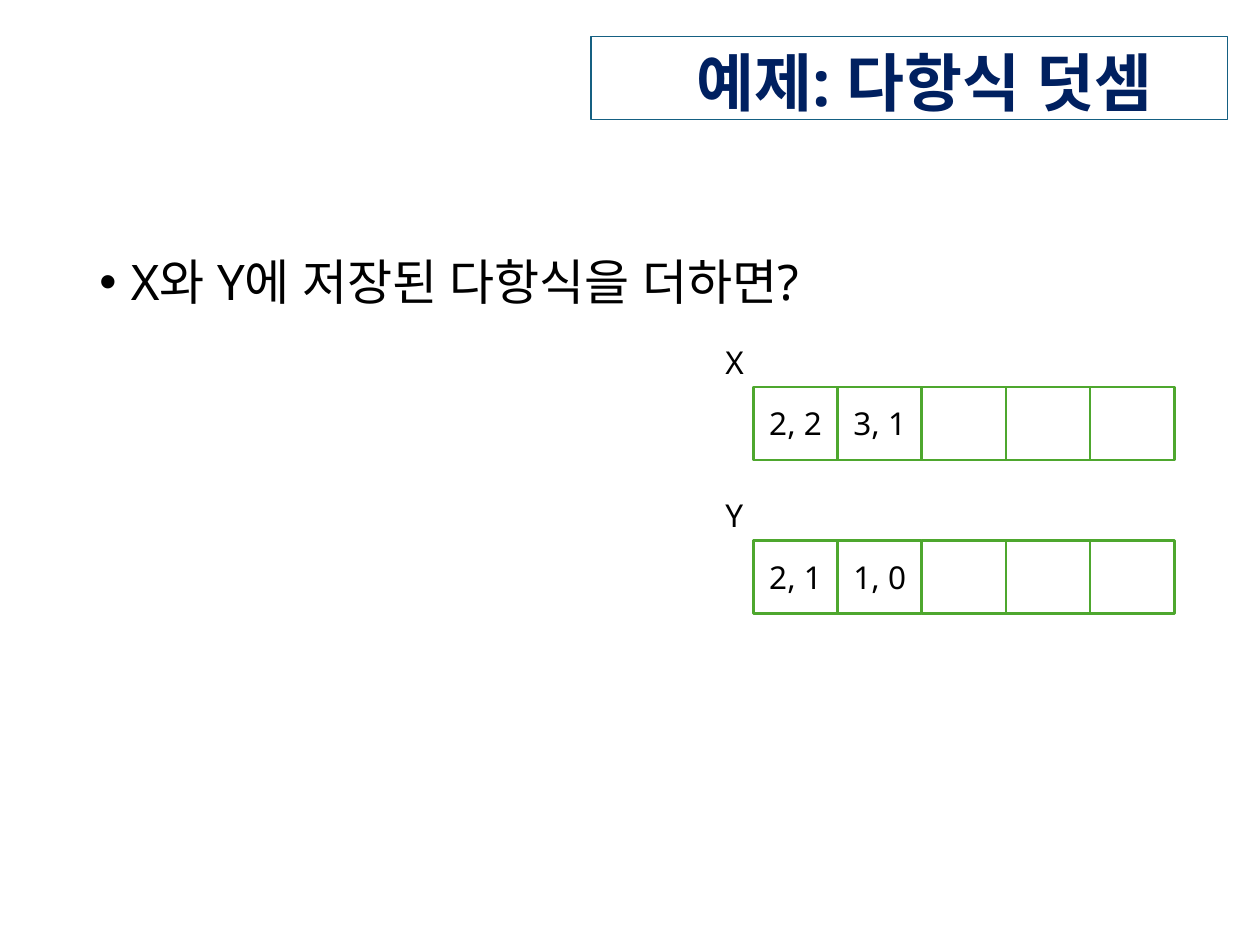
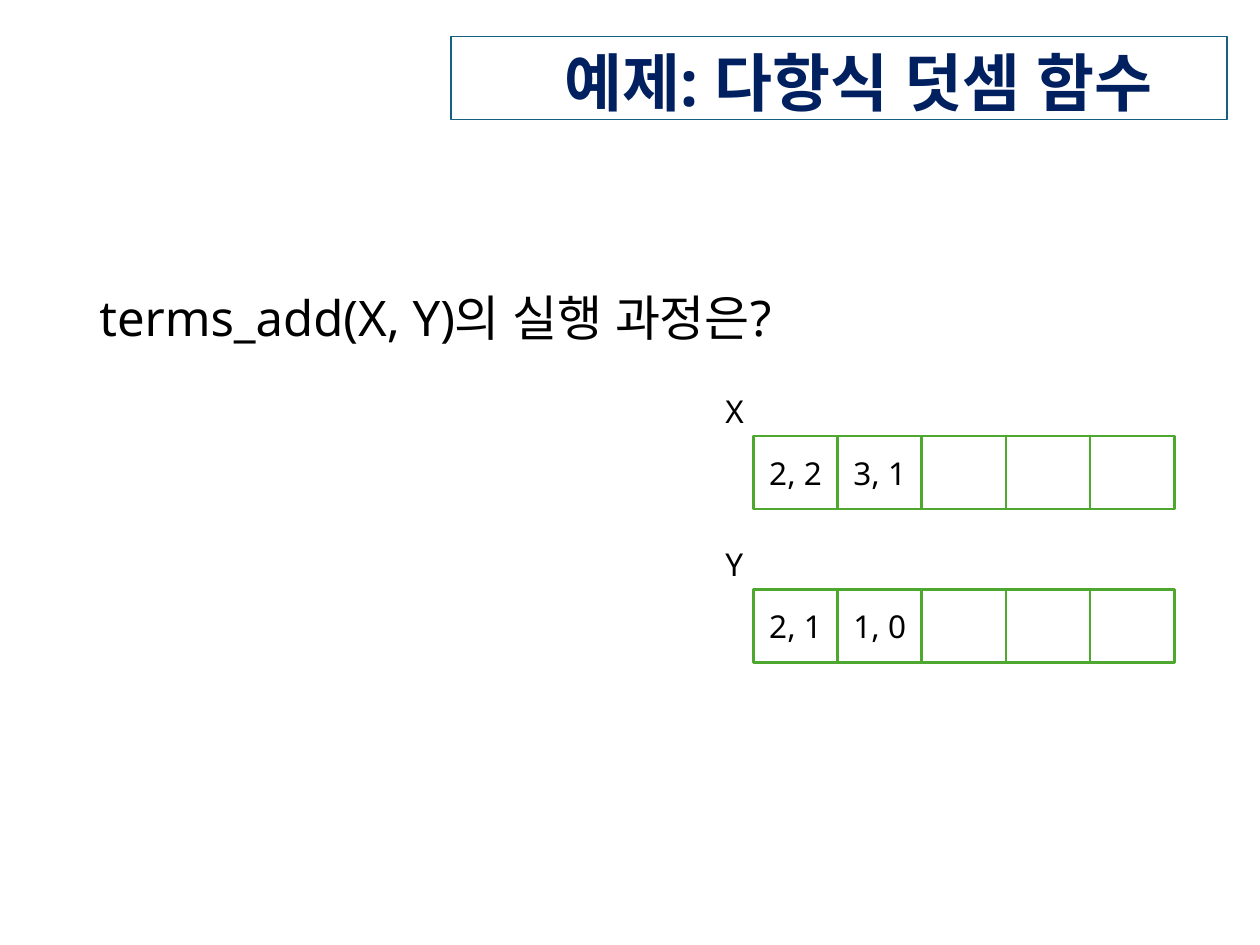
from dataclasses import dataclass

from pptx import Presentation
from pptx.dml.color import RGBColor
from pptx.enum.shapes import MSO_SHAPE
from pptx.enum.text import MSO_ANCHOR, MSO_AUTO_SIZE, PP_ALIGN
from pptx.oxml.ns import qn
from pptx.util import Inches, Pt
from lxml.etree import SubElement

COLUMNS, ROWS = 100, 75
DECK_WIDTH, DECK_HEIGHT = Inches(10), Inches(7.5)


@dataclass(frozen=True)
class Theme:
    """Colours, font and type sizes shared by the deck."""
    font: str = "Noto Sans"
    title: RGBColor = RGBColor(0x00, 0x20, 0x60)
    frame: RGBColor = RGBColor(0x15, 0x60, 0x82)
    text: RGBColor = RGBColor(0x00, 0x00, 0x00)
    paper: RGBColor = RGBColor(0xFF, 0xFF, 0xFF)
    cell: RGBColor = RGBColor(0x4E, 0xA7, 0x2E)
    title_size: Pt = Pt(36)
    body_size: Pt = Pt(28)
    cell_size: Pt = Pt(18)


@dataclass(frozen=True)
class Box:
    """A rectangle measured in grid columns and rows."""
    left: float
    top: float
    width: float
    height: float

    def inner(self, left, top, width, height):
        """Return a box placed relative to this one."""
        return Box(self.left + left, self.top + top, width, height)

    def place(self):
        """Return left, top, width and height as slide lengths."""
        column, row = DECK_WIDTH / COLUMNS, DECK_HEIGHT / ROWS
        return (round(self.left * column), round(self.top * row),
                round(self.width * column), round(self.height * row))


THEME = Theme()
TITLE_RIGHT = 97.4
BODY = Box(6.9, 20, 93.1, 47.6)
ARRAY_LEFT, ARRAY_WIDTH, ARRAY_HEIGHT, ARRAY_PITCH = 56.6, 36.6, 9.8, 12.2
LABEL_WIDTH, LABEL_HEIGHT, CELL_INDENT = 3.4, 4, 3.2
CELL_COUNT = 5
POLYNOMIALS = {"X": ["2, 2", "3, 1"], "Y": ["2, 1", "1, 0"]}


def add_span(para, text, size, color=THEME.text, bold=False):
    """Add one styled run to a paragraph."""
    span = para.add_run()
    span.text = text
    span.font.name = THEME.font
    span.font.size = size
    span.font.bold = bold
    span.font.color.rgb = color
    SubElement(span.font._element, qn("a:ea"), typeface=THEME.font)


def add_bullet(para):
    """Give a paragraph a hanging round bullet."""
    properties = para._p.get_or_add_pPr()
    properties.set("marL", str(Inches(0.25)))
    properties.set("indent", str(-Inches(0.25)))
    SubElement(properties, qn("a:buFont"), typeface="Arial")
    SubElement(properties, qn("a:buChar"), char="•")


def add_title(page, box, text):
    """Draw the framed, right-aligned title."""
    title = page.shapes.add_textbox(*box.place())
    title.line.color.rgb = THEME.frame
    title.line.width = Pt(0.75)
    frame = title.text_frame
    frame.margin_left = frame.margin_right = Inches(0.59)
    frame.margin_top, frame.margin_bottom = Inches(0.12), 0
    frame.vertical_anchor = MSO_ANCHOR.MIDDLE
    frame.word_wrap = False
    frame.auto_size = MSO_AUTO_SIZE.SHAPE_TO_FIT_TEXT
    para = frame.paragraphs[0]
    para.alignment = PP_ALIGN.RIGHT
    para.line_spacing = 0.9
    add_span(para, text, THEME.title_size, THEME.title, bold=True)


def add_question(page, box, text, line_spacing, bulleted):
    """Write the question in the body region."""
    frame = page.shapes.add_textbox(*box.place()).text_frame
    frame.word_wrap = True
    para = frame.paragraphs[0]
    para.line_spacing = line_spacing
    para.space_before = Pt(10)
    if bulleted:
        add_bullet(para)
    add_span(para, text, THEME.body_size)


def add_cell(group, box, text):
    """Draw one array cell, with its term if it has one."""
    cell = group.shapes.add_shape(MSO_SHAPE.RECTANGLE, *box.place())
    cell.shadow.inherit = False
    cell.fill.solid()
    cell.fill.fore_color.rgb = THEME.paper
    cell.line.color.rgb = THEME.cell
    cell.line.width = Pt(1.5)
    if text:
        cell.text_frame.vertical_anchor = MSO_ANCHOR.MIDDLE
        para = cell.text_frame.paragraphs[0]
        para.alignment = PP_ALIGN.CENTER
        add_span(para, text, THEME.cell_size)


def add_array(page, box, name, terms):
    """Draw a named row of equal cells inside the box."""
    group = page.shapes.add_group_shape()
    cell_width = (box.width - CELL_INDENT) / CELL_COUNT
    cell_height = box.height - LABEL_HEIGHT
    for index in range(CELL_COUNT):
        cell_box = box.inner(CELL_INDENT + index * cell_width, LABEL_HEIGHT,
                             cell_width, cell_height)
        add_cell(group, cell_box, terms[index] if index < len(terms) else "")
    label_box = box.inner(0, 0, LABEL_WIDTH, LABEL_HEIGHT)
    frame = page.shapes.add_textbox(*label_box.place()).text_frame
    frame.word_wrap = False
    frame.auto_size = MSO_AUTO_SIZE.SHAPE_TO_FIT_TEXT
    add_span(frame.paragraphs[0], name, THEME.cell_size)


def add_example_page(deck, title, title_width, question, arrays_top,
                     line_spacing=0.9, bulleted=False):
    """Build one example slide: title, question and both arrays."""
    page = deck.slides.add_slide(deck.slide_layouts[6])
    add_title(page, Box(TITLE_RIGHT - title_width, 2.9, title_width, 6.6), title)
    add_question(page, BODY, question, line_spacing, bulleted)
    for index, (name, terms) in enumerate(POLYNOMIALS.items()):
        top = arrays_top + index * ARRAY_PITCH
        add_array(page, Box(ARRAY_LEFT, top, ARRAY_WIDTH, ARRAY_HEIGHT), name, terms)


def main():
    """Build and save the deck."""
    deck = Presentation()
    deck.slide_width, deck.slide_height = DECK_WIDTH, DECK_HEIGHT
    add_example_page(deck, "예제: 다항식 덧셈", 50.5,
                     "X와 Y에 저장된 다항식을 더하면?", 26.7, bulleted=True)
    add_example_page(deck, "예제: 다항식 덧셈 함수", 61.6,
                     "terms_add(X, Y)의 실행 과정은?", 30.6, line_spacing=1.5)
    deck.save("out.pptx")


if __name__ == "__main__":
    main()
